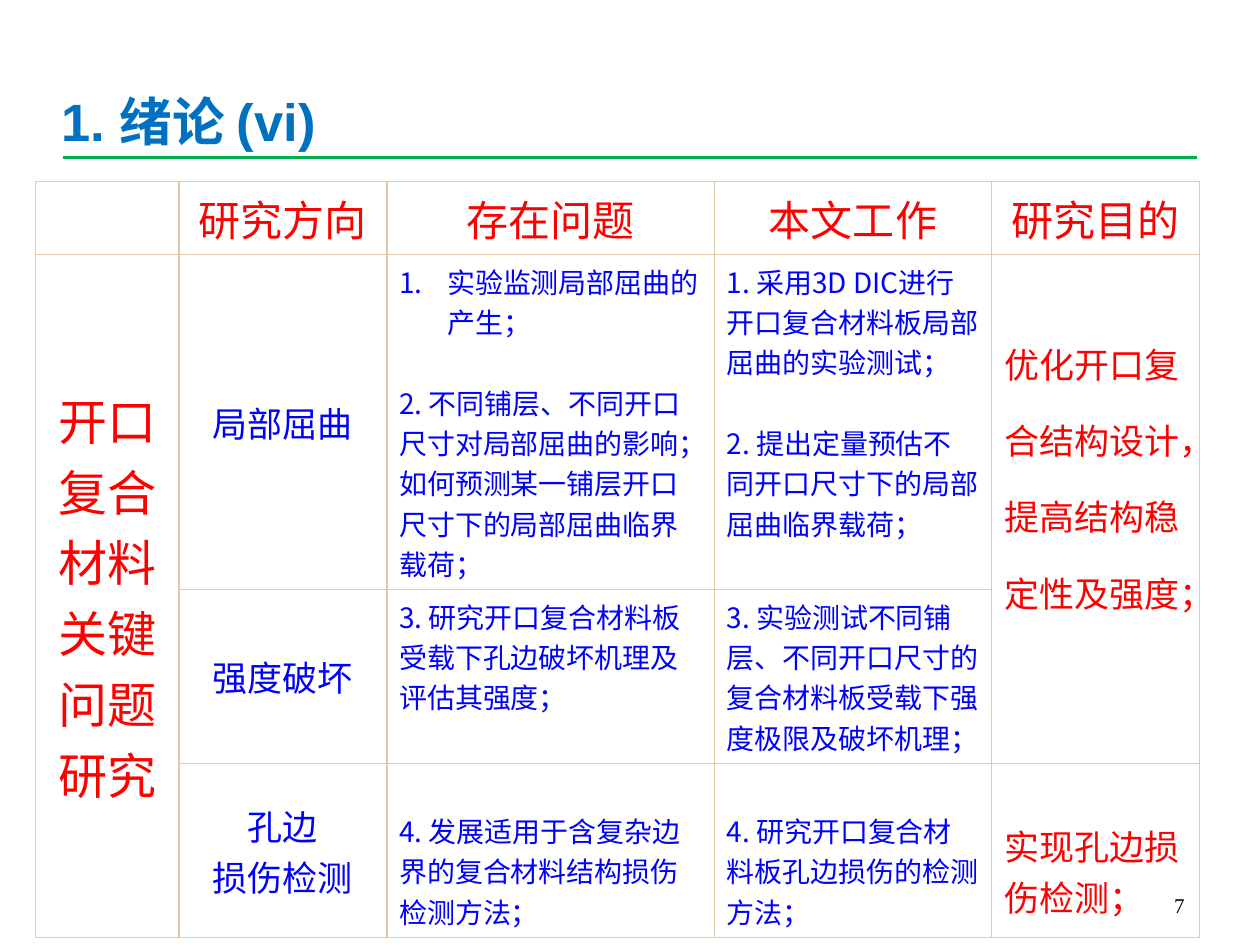
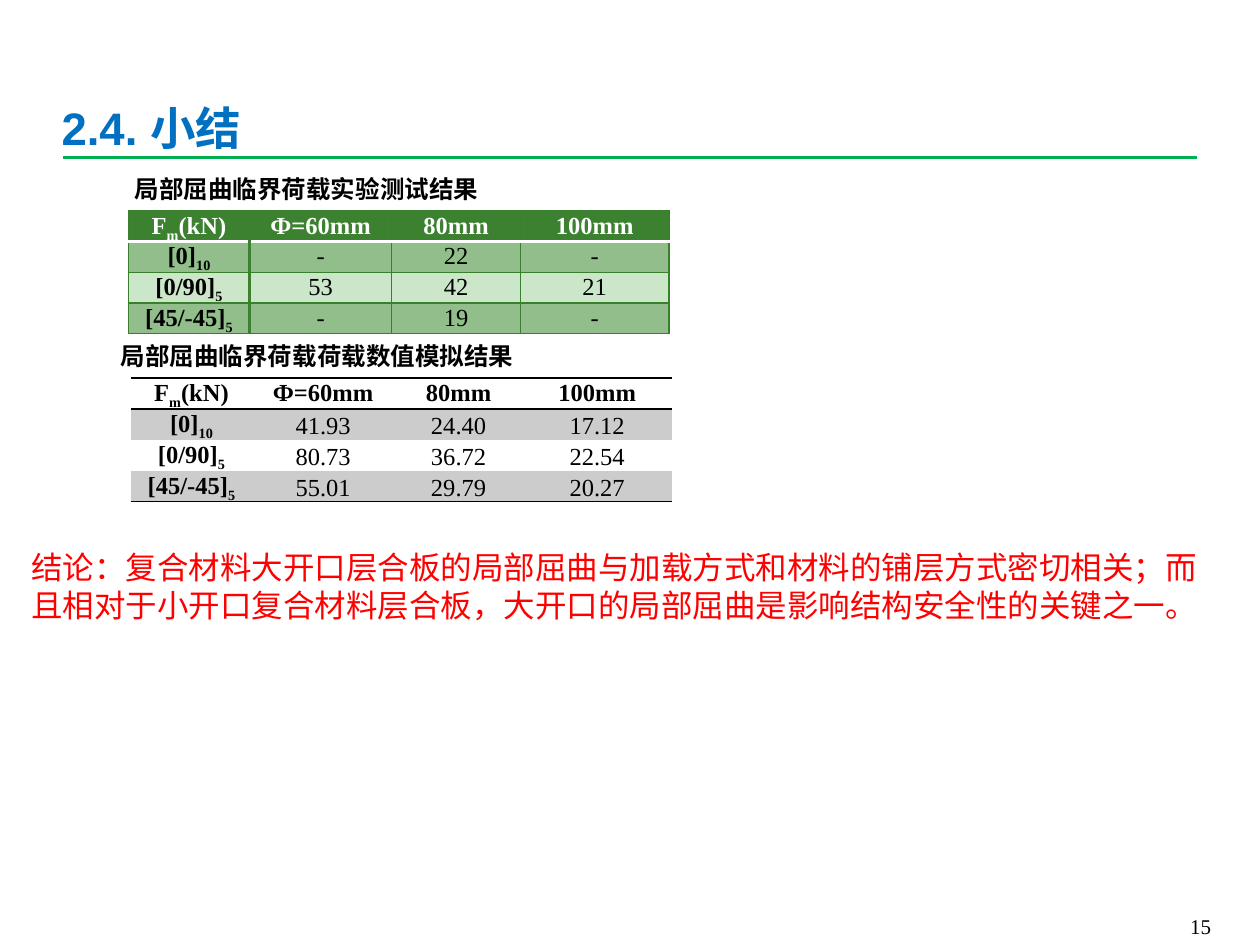
from lxml.etree import SubElement
from pptx import Presentation
from pptx.dml.color import RGBColor
from pptx.enum.shapes import MSO_CONNECTOR as Link
from pptx.enum.text import MSO_ANCHOR as Anchor, PP_ALIGN as Align
from pptx.oxml.ns import qn
from pptx.util import Inches, Pt

RED, BLUE, BLACK, WHITE = "FF0000", "0000FF", "000000", "FFFFFF"
TITLE, RULE, TAN = "0070C0", "00B050", "E2CAAA"
GREEN, EDGE, MID, PALE, GRAY = "3B812F", "38802C", "91BE8B", "CBE6C8", "CCCCCC"
SANS, SERIF, HEAD = "Noto Sans CJK SC", "Times New Roman", "Arial"


def rgb(code):
    return RGBColor.from_string(code)


class Deck:
    """Holds the shared style and the slide being built."""

    def __init__(self):
        self.prs = Presentation()
        self.prs.slide_width, self.prs.slide_height = Inches(10), Inches(7.5)

    def start(self, title, size, box, number, corner):
        """Add a slide with its title, green rule and page number."""
        self.slide = self.prs.slides.add_slide(self.prs.slide_layouts[6])
        rule = self.slide.shapes.add_connector(
            Link.STRAIGHT, Inches(0.5), Inches(1.25), Inches(9.5), Inches(1.25))
        rule.line.color.rgb, rule.line.width = rgb(RULE), Pt(2.25)
        SubElement(rule._element.spPr, qn("a:effectLst"))
        self.text(number, corner, 12, BLACK, align=Align.RIGHT, anchor=Anchor.BOTTOM)
        self.text(title, box, size, TITLE, HEAD, bold=True, top=0.19)

    def text(self, words, box, size, color, font=SERIF, bold=False,
             align=Align.LEFT, anchor=Anchor.TOP, wrap=True, top=0.05):
        shape = self.slide.shapes.add_textbox(*map(Inches, box))
        frame = shape.text_frame
        frame.word_wrap, frame.vertical_anchor = wrap, anchor
        frame.margin_top = Inches(top)
        self.fill(frame, [words], size, color, font, bold, align)

    def fill(self, frame, parts, size, color, font=SANS, bold=False,
             align=Align.LEFT, gap=0, lead=None):
        """Write one paragraph per part; text between underscores is subscript."""
        for i, part in enumerate(parts):
            para = frame.add_paragraph() if i else frame.paragraphs[0]
            if part.startswith("#"):
                self.number(para)
            for j, piece in enumerate(part.lstrip("#").split("_")):
                if piece:
                    run = para.add_run()
                    run.text = piece
                    if j % 2:
                        run._r.get_or_add_rPr().set("baseline", "-25000")
            para.alignment = align
            if lead:
                para.line_spacing = lead
            if i and gap:
                para.space_before = Pt(gap)
            face = para.font
            face.name, face.size, face.bold = font, Pt(size), bold
            face.color.rgb = rgb(color)

    def number(self, para):
        props = para._p.get_or_add_pPr()
        props.set("marL", str(Inches(0.38)))
        props.set("indent", str(-Inches(0.38)))
        SubElement(props, qn("a:buFont"), typeface="+mj-lt")
        SubElement(props, qn("a:buAutoNum"), type="arabicPeriod")

    def table(self, spot, cols, rows):
        size = Inches(sum(cols)), Inches(sum(rows))
        grid = self.slide.shapes.add_table(
            len(rows), len(cols), *map(Inches, spot), *size).table
        grid.first_row = grid.horz_banding = False
        for col, width in zip(grid.columns, cols):
            col.width = Inches(width)
        for row, height in zip(grid.rows, rows):
            row.height = Inches(height)
        return grid

    def paint(self, cell, edges, color=None):
        """Draw the cell's edges, given as side: (colour, points), and its fill."""
        props = cell._tc.get_or_add_tcPr()
        for side in "LRTB":
            line = SubElement(props, qn("a:ln" + side))
            if side in edges:
                code, width = edges[side]
                line.set("w", str(Pt(width)))
                solid = SubElement(line, qn("a:solidFill"))
                SubElement(solid, qn("a:srgbClr"), val=code)
            else:
                SubElement(line, qn("a:noFill"))
        if color:
            cell.fill.solid()
            cell.fill.fore_color.rgb = rgb(color)
        else:
            cell.fill.background()

    def results(self, caption, place, spot, values, look, anchor):
        """Add a captioned table of loads; look(row, col) gives edges and fill."""
        self.text(caption, place, 14, BLACK, bold=True, wrap=False)
        names = ["[0]_10_", "[0/90]_5_", "[45/-45]_5_"]
        data = [["F_m_(kN)", "Ф=60mm", "80mm", "100mm"]]
        data += [[name] + row for name, row in zip(names, values)]
        grid = self.table(spot, [0.96, 1.13, 1.02, 1.18], [0.245] * 4)
        for r, row in enumerate(data):
            for c, value in enumerate(row):
                cell = grid.cell(r, c)
                edges, color = look(r, c)
                self.paint(cell, edges, color)
                cell.margin_left = cell.margin_right = Inches(0.07)
                cell.margin_top = cell.margin_bottom = 0
                cell.vertical_anchor = anchor if r and c else Anchor.MIDDLE
                ink = WHITE if color == GREEN else BLACK
                # Tight lines keep the subscripts from stretching the rows.
                self.fill(cell.text_frame, [value], 14, ink, SERIF,
                          not (r and c), Align.CENTER, lead=None if c else 0.88)


def green(r, c):
    thin, white, thick = (EDGE, 0.75), (WHITE, 2), (GREEN, 2)
    edges = dict.fromkeys("LRTB", thin)
    if r == 0:
        edges["B"] = white
    elif c == 0:
        edges["R"] = thick
    if r == 1:
        edges["T"] = white
    if r and c == 1:
        edges["L"] = thick
    return edges, [GREEN, MID, PALE, MID][r]


def plain(r, c):
    line = (BLACK, 1)
    edges = {0: {"T": line, "B": line}, 1: {"T": line}, 3: {"B": line}}
    return edges.get(r, {}), GRAY if r % 2 else None


def outline(deck):
    deck.start("1. 绪论 (vi)", 30, (0.39, 0.52, 2.95, 0.61),
               "7", (7.17, 6.83, 2.33, 0.5))
    grid = deck.table((0.28, 1.44), [1.14, 1.65, 2.6, 2.2, 1.65],
                      [0.58, 2.66, 1.38, 1.38])
    for cell in grid.iter_cells():
        deck.paint(cell, dict.fromkeys("LRTB", (TAN, 1)))
    grid.cell(1, 0).merge(grid.cell(3, 0))
    grid.cell(1, 4).merge(grid.cell(2, 4))

    def center(r, c, parts, size, color):
        cell = grid.cell(r, c)
        cell.vertical_anchor = Anchor.MIDDLE
        deck.fill(cell.text_frame, parts, size, color, align=Align.CENTER)

    for c, head in enumerate(["研究方向", "存在问题", "本文工作", "研究目的"], 1):
        center(0, c, [head], 24, RED)
    center(1, 0, ["开口复合材料关键问题研究"], 28, RED)
    topics = [["局部屈曲"], ["强度破坏"], ["孔边", "损伤检测"]]
    for r, topic in enumerate(topics, 1):
        center(r, 1, topic, 20, BLUE)

    work = [
        (["#实验监测局部屈曲的产生；",
          "2. 不同铺层、不同开口尺寸对局部屈曲的影响；如何预测某一铺层开口尺寸下的局部屈曲临界载荷；"],
         ["1. 采用3D DIC进行开口复合材料板局部屈曲的实验测试；",
          "2. 提出定量预估不同开口尺寸下的局部屈曲临界载荷；"]),
        (["3. 研究开口复合材料板受载下孔边破坏机理及评估其强度；"],
         ["3. 实验测试不同铺层、不同开口尺寸的复合材料板受载下强度极限及破坏机理；"]),
        (["4. 发展适用于含复杂边界的复合材料结构损伤检测方法；"],
         ["4. 研究开口复合材料板孔边损伤的检测方法；"]),
    ]
    for r, pair in enumerate(work, 1):
        for c, parts in enumerate(pair, 2):
            cell = grid.cell(r, c)
            cell.margin_top = Inches(0.37 if r == 3 else 0.05)
            deck.fill(cell.text_frame, parts, 16, BLUE, gap=23)

    aims = [(1, "优化开口复合结构设计，提高结构稳定性及强度；", 0.46, 1.5),
            (3, "实现孔边损伤检测；", 0.45, None)]
    for r, aim, top, lead in aims:
        cell = grid.cell(r, 4)
        cell.margin_top = Inches(top)
        deck.fill(cell.text_frame, [aim], 20, RED, "Noto Sans CJK JP", lead=lead)


def summary(deck):
    deck.start("2.4. 小结", 26, (0.39, 0.6, 5.55, 0.61),
               "15", (9.16, 7.17, 0.55, 0.33))
    deck.results("局部屈曲临界荷载实验测试结果", (0.97, 1.33, 2.95, 0.34), (1.02, 1.67),
                 [["-", "22", "-"], ["53", "42", "21"], ["-", "19", "-"]],
                 green, Anchor.MIDDLE)
    deck.results("局部屈曲临界荷载荷载数值模拟结果", (0.86, 2.66, 3.34, 0.34), (1.04, 3),
                 [["41.93", "24.40", "17.12"], ["80.73", "36.72", "22.54"],
                  ["55.01", "29.79", "20.27"]],
                 plain, Anchor.BOTTOM)
    deck.text("结论：复合材料大开口层合板的局部屈曲与加载方式和材料的铺层方式密切相关；"
              "而且相对于小开口复合材料层合板，大开口的局部屈曲是影响结构安全性的关键之一。",
              (0.15, 4.3, 9.61, 0.71), 18, RED)


def main():
    deck = Deck()
    outline(deck)
    summary(deck)
    deck.prs.save("out.pptx")


if __name__ == "__main__":
    main()
